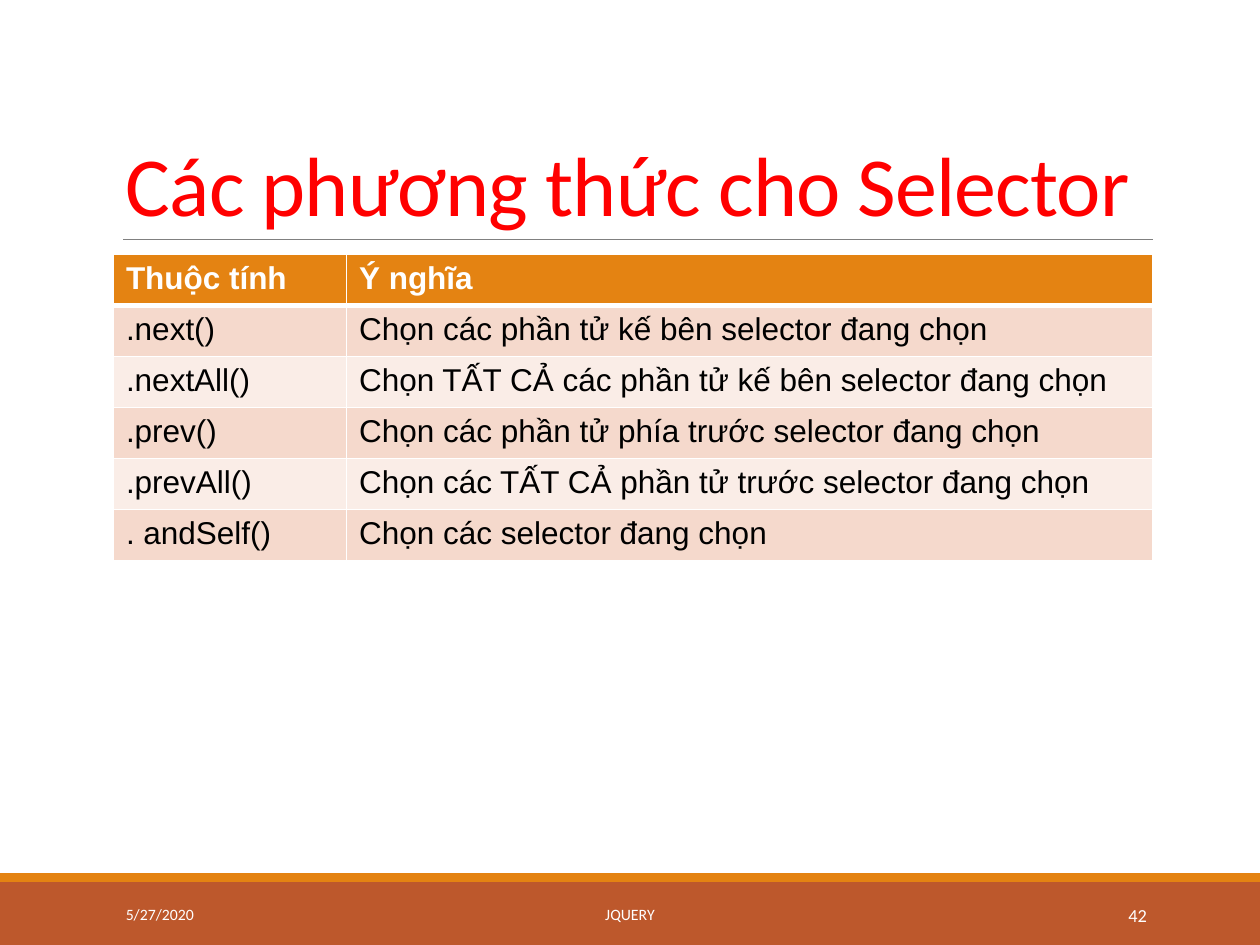
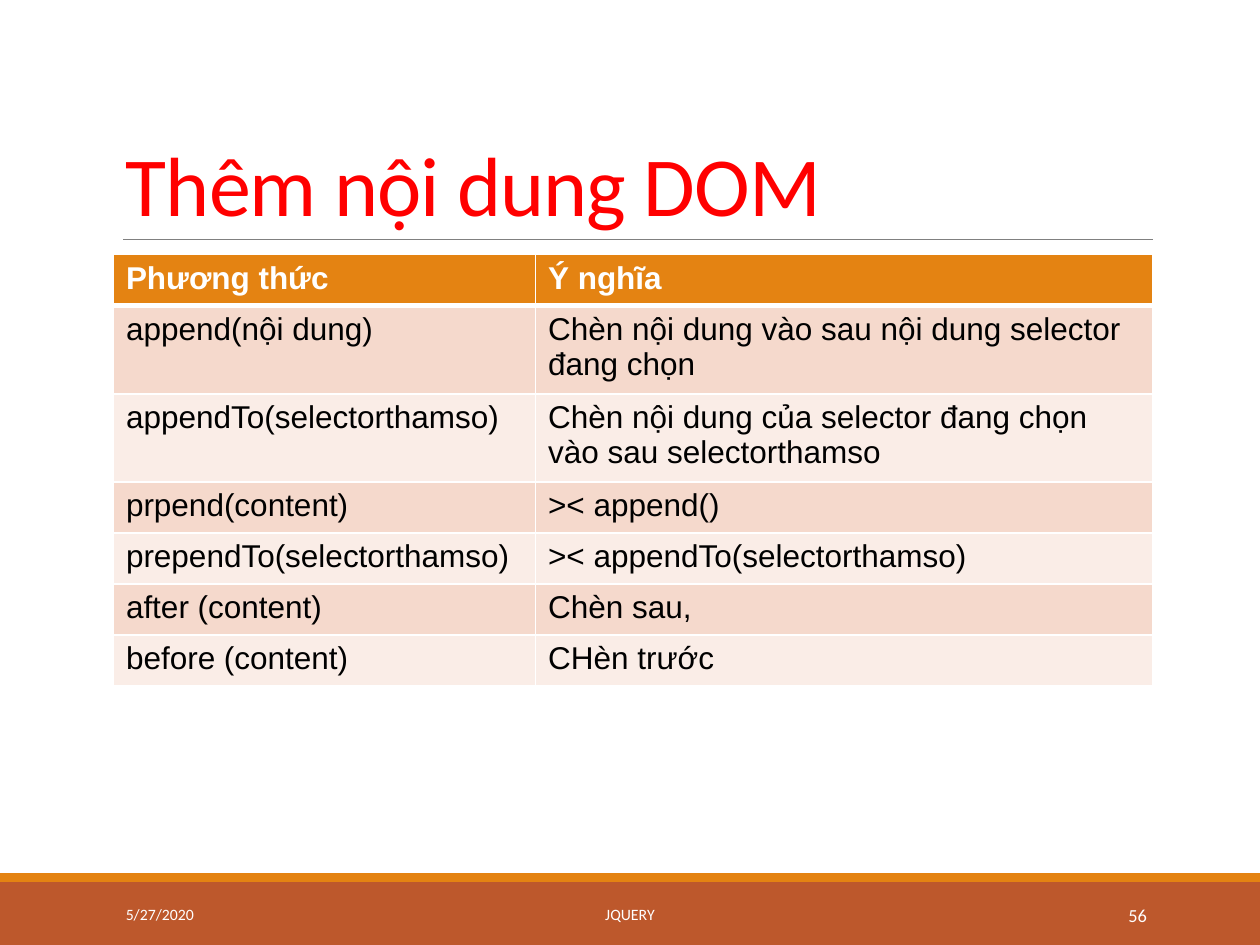
"""Build two jQuery reference slides, each with a title and a method table."""
from lxml.etree import SubElement
from pptx import Presentation
from pptx.dml.color import RGBColor
from pptx.enum.shapes import MSO_CONNECTOR, MSO_SHAPE
from pptx.enum.text import MSO_ANCHOR, PP_ALIGN
from pptx.oxml.ns import qn
from pptx.util import Inches, Pt

RUST = RGBColor(0xBD, 0x58, 0x2C)
ORANGE = RGBColor(0xE4, 0x83, 0x12)
GRAY = RGBColor(0x80, 0x80, 0x80)
RED = RGBColor(0xFF, 0x00, 0x00)
WHITE = RGBColor(0xFF, 0xFF, 0xFF)
BLACK = RGBColor(0x00, 0x00, 0x00)
ROW_FILLS = [RGBColor(0xFA, 0xED, 0xE7), RGBColor(0xF5, 0xD9, 0xCC)]

LEFT, CONTENT_WIDTH = 0.9, 8.25
TABLE_TOP, SIX_ROWS_HEIGHT = 2.02, 2.43

BANDS = [(7, 0.5, RUST), (6.93, 0.07, ORANGE)]

SLIDES = [
    ("Các phương thức cho Selector", "42", [1.85, 6.4], [
        ("Thuộc tính", "Ý nghĩa"),
        (".next()", "Chọn các phần tử kế bên selector đang chọn"),
        (".nextAll()", "Chọn TẤT CẢ các phần tử kế bên selector đang chọn"),
        (".prev()", "Chọn các phần tử phía trước selector đang chọn"),
        (".prevAll()", "Chọn các TẤT CẢ phần tử trước selector đang chọn"),
        (". andSelf()", "Chọn các selector đang chọn"),
    ]),
    ("Thêm nội dung DOM", "56", [3.35, 4.9], [
        ("Phương thức", "Ý nghĩa"),
        ("append(nội dung)", "Chèn nội dung vào sau nội dung selector đang chọn"),
        ("appendTo(selectorthamso)",
         "Chèn nội dung của selector đang chọn vào sau selectorthamso"),
        ("prpend(content)", ">< append()"),
        ("prependTo(selectorthamso)", ">< appendTo(selectorthamso)"),
        ("after (content)", "Chèn sau,"),
        ("before (content)", "CHèn trước"),
    ]),
]


def add_text(slide, text, box, size, color, align=PP_ALIGN.LEFT, anchor=MSO_ANCHOR.MIDDLE):
    shape = slide.shapes.add_textbox(*[Inches(value) for value in box])
    shape.text_frame.word_wrap = True
    shape.text_frame.vertical_anchor = anchor
    shape.text_frame.text = text
    paragraph = shape.text_frame.paragraphs[0]
    paragraph.alignment = align
    font = paragraph.runs[0].font
    font.name, font.size = "Calibri", Pt(size)
    font.color.rgb = color
    return paragraph


def add_border(cell, side, width):
    line = SubElement(cell._tc.get_or_add_tcPr(), qn(f"a:ln{side}"), w=str(Pt(width)))
    fill = SubElement(line, qn("a:solidFill"))
    SubElement(fill, qn("a:srgbClr"), val=str(WHITE))


presentation = Presentation()
presentation.slide_width = Inches(10)
presentation.slide_height = Inches(7.5)

for title, number, column_widths, rows in SLIDES:
    slide = presentation.slides.add_slide(presentation.slide_layouts[6])

    for top, height, color in BANDS:
        band = slide.shapes.add_shape(
            MSO_SHAPE.RECTANGLE, 0, Inches(top), Inches(10), Inches(height))
        band.shadow.inherit = False
        band.fill.solid()
        band.fill.fore_color.rgb = color
        band.line.fill.background()

    rule = slide.shapes.add_connector(
        MSO_CONNECTOR.STRAIGHT, Inches(0.98), Inches(1.9), Inches(9.15), Inches(1.9))
    rule.line.color.rgb = GRAY
    rule.line.width = Pt(0.5)
    SubElement(rule._element.spPr, qn("a:effectLst"))

    heading = add_text(slide, title, (LEFT, 0.31, CONTENT_WIDTH, 1.59), 48, RED,
                       anchor=MSO_ANCHOR.BOTTOM)
    heading.line_spacing = 0.85
    heading.runs[0].font._element.set("spc", "-50")

    table = slide.shapes.add_table(
        len(rows), len(column_widths), Inches(LEFT), Inches(TABLE_TOP),
        Inches(CONTENT_WIDTH), Inches(SIX_ROWS_HEIGHT * len(rows) / 6)).table
    for column, width in zip(table.columns, column_widths):
        column.width = Inches(width)
    for row_index, row in enumerate(rows):
        is_header = row_index == 0
        for column_index, text in enumerate(row):
            cell = table.cell(row_index, column_index)
            for side in "LRTB":
                below_header = (row_index, side) in [(0, "B"), (1, "T")]
                add_border(cell, side, 3 if below_header else 1)
            cell.fill.solid()
            cell.fill.fore_color.rgb = ORANGE if is_header else ROW_FILLS[row_index % 2]
            cell.text_frame.text = text
            font = cell.text_frame.paragraphs[0].runs[0].font
            font.name, font.size, font.bold = "Arial", Pt(18), is_header
            font.color.rgb = WHITE if is_header else BLACK

    for text, left, width, size, align in [
        ("5/27/2020", LEFT, 2.03, 9, PP_ALIGN.LEFT),
        ("JQUERY", 3.02, 3.96, 9, PP_ALIGN.CENTER),
        (number, 8.12, 1.08, 10.5, PP_ALIGN.RIGHT),
    ]:
        add_text(slide, text, (left, 7.06, width, 0.4), size, WHITE, align)

presentation.save("out.pptx")
